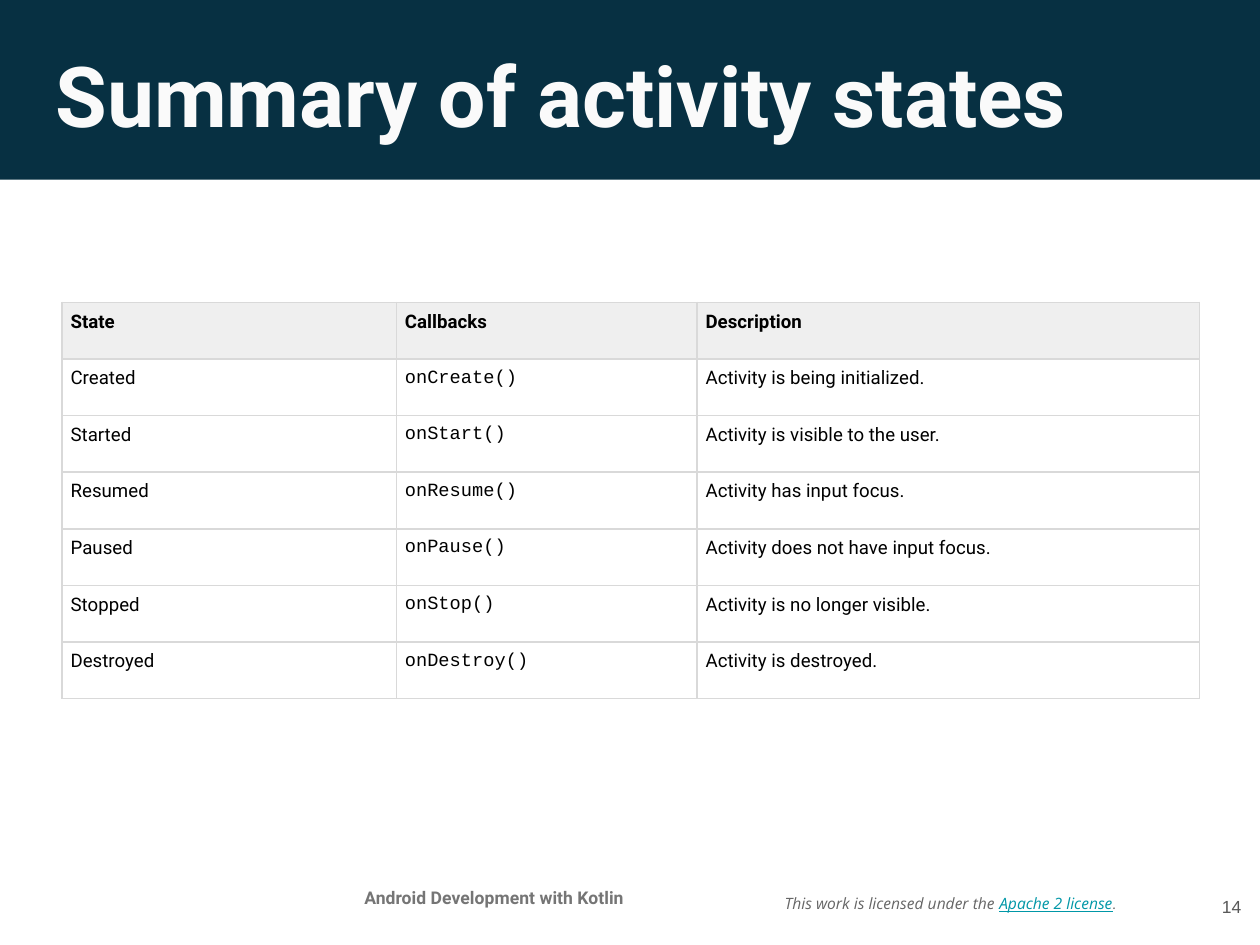
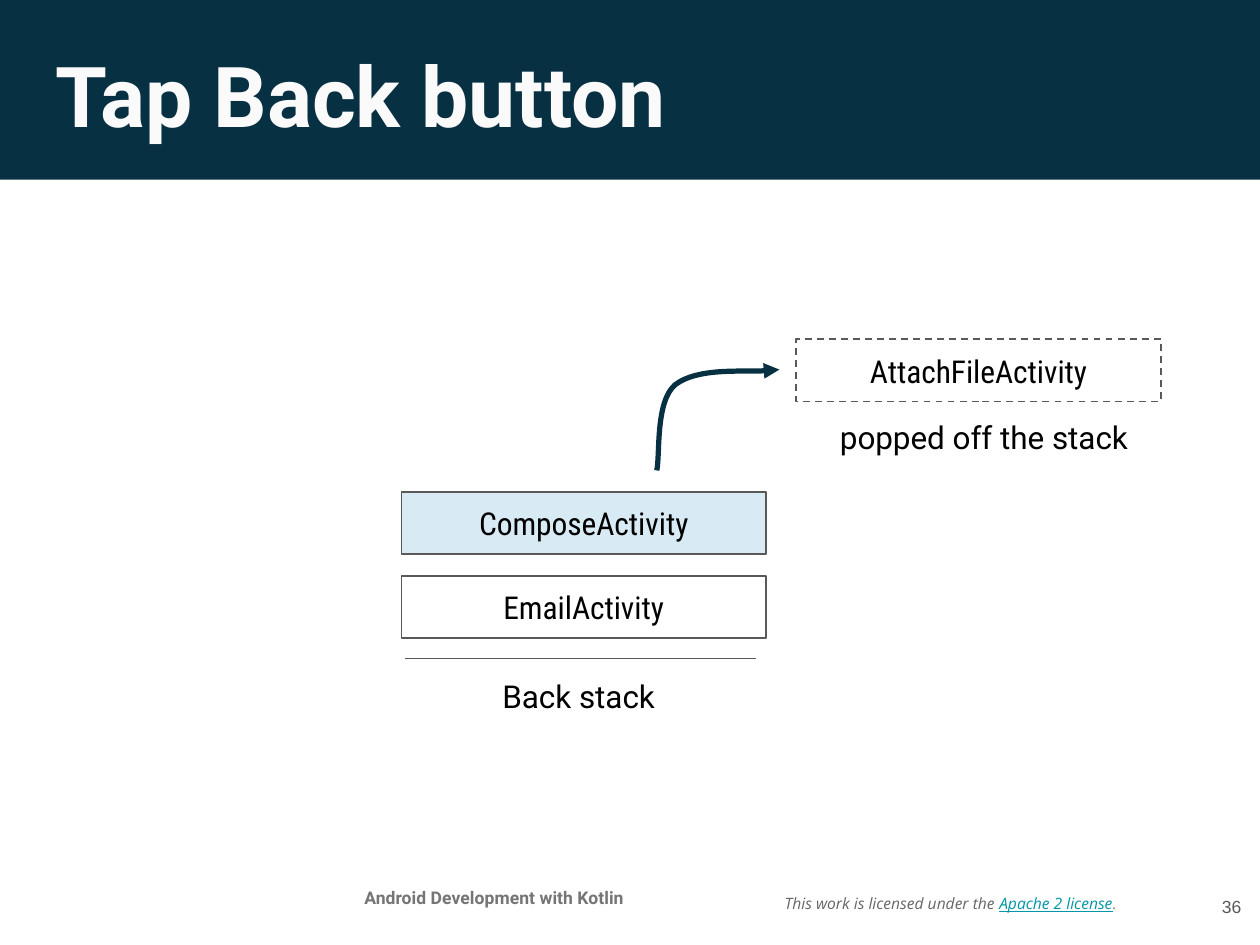
from dataclasses import dataclass
from lxml.etree import SubElement
from pptx import Presentation
from pptx.dml.color import RGBColor
from pptx.enum.dml import MSO_LINE
from pptx.enum.shapes import MSO_CONNECTOR, MSO_SHAPE
from pptx.enum.text import MSO_ANCHOR, MSO_AUTO_SIZE, PP_ALIGN
from pptx.oxml.ns import qn
from pptx.util import Inches, Pt


@dataclass(frozen=True)
class Theme:
    navy: str = "073042"
    pale: str = "FAFAFA"
    white: str = "FFFFFF"
    black: str = "000000"
    edge: str = "595959"
    note: str = "666666"
    brand: str = "757575"
    link: str = "0097A7"
    sky: str = "0E87C0"
    head: str = "EFEFEF"
    rule: str = "D9D9D9"
    body: str = "Roboto"
    slim: str = "Roboto Condensed"
    code: str = "Courier New"
    legal: str = "Open Sans"
    plain: str = "Arial"
    title: float = 36
    label: float = 13.5
    cell: float = 8
    foot: float = 7.5
    small: float = 6.75


T = Theme()

COURSE = "Android Development with Kotlin"
LICENSE = [
    ("This work is licensed under the ", dict(font=T.legal, color=T.note)),
    ("Apache 2 license", dict(font=T.legal, color=T.link, line=True)),
    (".", dict(font=T.body, color=T.note)),
]

STATES = [
    ("State", "Callbacks", "Description"),
    ("Created", "onCreate()", "Activity is being initialized."),
    ("Started", "onStart()", "Activity is visible to the user."),
    ("Resumed", "onResume()", "Activity has input focus."),
    ("Paused", "onPause()", "Activity does not have input focus."),
    ("Stopped", "onStop()", "Activity is no longer visible."),
    ("Destroyed", "onDestroy()", "Activity is destroyed."),
]
COLS = (1.99, 1.79, 2.99)
TALL = 2.36

CARDS = [
    ("EmailActivity", 2.39, 3.43, T.white, None, None),
    ("ComposeActivity", 2.39, 2.93, T.sky, 16, None),
    ("AttachFileActivity", 4.74, 2.02, T.white, None, MSO_LINE.DASH),
]
LABELS = [
    ("Back stack", (2.53, 4.04, 1.83, 0.2), PP_ALIGN.CENTER, MSO_ANCHOR.MIDDLE),
    ("popped off the stack", (4.93, 2.42, 2.17, 0.37), PP_ALIGN.LEFT, MSO_ANCHOR.TOP),
]
CURVE = [
    (3.91, 2.8), (3.93, 2.71), (3.9, 2.39), (4.02, 2.29),
    (4.15, 2.19), (4.53, 2.22), (4.64, 2.2),
]


def rgb(code):
    return RGBColor.from_string(code)


def inch(spot):
    return [Inches(n) for n in spot]


def add_run(para, text, size, font, color, bold=False, slant=False, line=False):
    run = para.add_run()
    run.text = text
    face = run.font
    face.size, face.name, face.bold, face.italic = Pt(size), font, bold, slant
    face.underline = line
    face.color.rgb = rgb(color)


def set_frame(shape, align=PP_ALIGN.LEFT, anchor=MSO_ANCHOR.TOP):
    frame = shape.text_frame
    frame.word_wrap = True
    frame.auto_size = MSO_AUTO_SIZE.NONE
    frame.vertical_anchor = anchor
    frame.margin_left = frame.margin_right = Inches(0.07)
    frame.margin_top = frame.margin_bottom = Inches(0.07)
    para = frame.paragraphs[0]
    para.alignment = align
    return para


def add_box(slide, spot, align=PP_ALIGN.LEFT, anchor=MSO_ANCHOR.TOP):
    return set_frame(slide.shapes.add_textbox(*inch(spot)), align, anchor)


def add_rect(slide, spot, color):
    rect = slide.shapes.add_shape(MSO_SHAPE.RECTANGLE, *inch(spot))
    rect.shadow.inherit = False
    rect.fill.solid()
    rect.fill.fore_color.rgb = rgb(color)
    rect.line.fill.background()
    return rect


def set_line(line, color, width):
    line.color.rgb = rgb(color)
    line.width = Pt(width)


def dress_layout(slide):
    para = add_box(slide, (4.6, 5.14, 2.2, 0.47), anchor=MSO_ANCHOR.MIDDLE)
    for text, style in LICENSE:
        add_run(para, text, T.small, slant=True, **style)
    add_rect(slide, (-0.01, -0.04, 7.51, 1.11), T.navy)
    para = add_box(slide, (1.88, 5.21, 2.12, 0.32), PP_ALIGN.CENTER)
    add_run(para, COURSE, T.foot, T.body, T.brand, bold=True)
    tree = slide.slide_layout.shapes._spTree
    parts = [s for s in slide.shapes if not s.is_placeholder]
    for spot, part in enumerate(parts, 2):
        tree.insert(spot, part._element)


def start_slide(deck, text, number):
    slide = deck.slides.add_slide(deck.slide_layouts[5])
    title = slide.shapes.title
    title.left, title.top, title.width, title.height = inch((0.26, 0.19, 6.99, 0.63))
    add_run(set_frame(title), text, T.title, T.body, T.pale, bold=True)
    if len(deck.slides) == 1:
        dress_layout(slide)
    para = add_box(slide, (7.01, 5.18, 0.45, 0.43), PP_ALIGN.RIGHT, MSO_ANCHOR.MIDDLE)
    add_run(para, str(number), T.foot, T.plain, T.edge)
    return slide


def add_edges(cell):
    props = cell._tc.get_or_add_tcPr()
    for side in ("lnL", "lnR", "lnT", "lnB"):
        edge = SubElement(props, qn("a:" + side), w=str(Pt(0.75)))
        fill = SubElement(edge, qn("a:solidFill"))
        SubElement(fill, qn("a:srgbClr"), val=T.rule)


def fill_cell(cell, text, head, font):
    cell.margin_left = cell.margin_right = Inches(0.05)
    cell.margin_top = cell.margin_bottom = Inches(0.05)
    add_edges(cell)
    if head:
        cell.fill.solid()
        cell.fill.fore_color.rgb = rgb(T.head)
    else:
        cell.fill.background()
    para = cell.text_frame.paragraphs[0]
    para.space_after = Pt(6)
    add_run(para, text, T.cell, font, T.black, bold=head)


def add_states(slide):
    size = (0.37, 1.8, sum(COLS), TALL)
    table = slide.shapes.add_table(len(STATES), len(COLS), *inch(size)).table
    table.first_row = table.horz_banding = False
    for col, width in zip(table.columns, COLS):
        col.width = Inches(width)
    for r, texts in enumerate(STATES):
        table.rows[r].height = Inches(TALL / len(STATES))
        for c, text in enumerate(texts):
            font = T.code if r and c == 1 else T.body
            fill_cell(table.cell(r, c), text, r == 0, font)


def add_card(slide, text, left, top, color, alpha, dash):
    card = add_rect(slide, (left, top, 2.17, 0.37), color)
    set_line(card.line, T.edge, 0.75)
    if dash:
        card.line.dash_style = dash
    if alpha:
        tint = card._element.spPr.find(qn("a:solidFill")).find(qn("a:srgbClr"))
        SubElement(tint, qn("a:alpha"), val=str(alpha * 1000))
    para = set_frame(card, PP_ALIGN.CENTER, MSO_ANCHOR.MIDDLE)
    add_run(para, text, T.label, T.slim, T.black)


def add_base(slide):
    base = slide.shapes.add_connector(
        MSO_CONNECTOR.STRAIGHT, *inch((2.41, 3.92, 4.5, 3.92)))
    set_line(base.line, T.edge, 0.75)
    SubElement(base._element.spPr, qn("a:effectLst"))


def add_curve(slide):
    first, *rest = [inch(point) for point in CURVE]
    form = slide.shapes.build_freeform(*first)
    form.add_line_segments(rest, close=False)
    arrow = form.convert_to_shape()
    arrow.shadow.inherit = False
    arrow.fill.background()
    set_line(arrow.line, T.navy, 2.25)
    SubElement(arrow.line._get_or_add_ln(), qn("a:tailEnd"), type="triangle")
    route = next(arrow._element.iter(qn("a:path")))
    steps = route.findall(qn("a:lnTo"))
    for i in range(0, len(steps), 3):
        bend = SubElement(route, qn("a:cubicBezTo"))
        for step in steps[i:i + 3]:
            bend.append(step[0])
            route.remove(step)


def main():
    deck = Presentation()
    deck.slide_width = Inches(7.5)
    deck.slide_height = deck.slide_width * 3 // 4

    add_states(start_slide(deck, "Summary of activity states", 14))

    slide = start_slide(deck, "Tap Back button", 36)
    add_base(slide)
    for card in CARDS:
        add_card(slide, *card)
    add_curve(slide)
    for text, spot, align, anchor in LABELS:
        para = add_box(slide, spot, align, anchor)
        add_run(para, text, T.label, T.body, T.black)

    deck.save("out.pptx")


if __name__ == "__main__":
    main()
